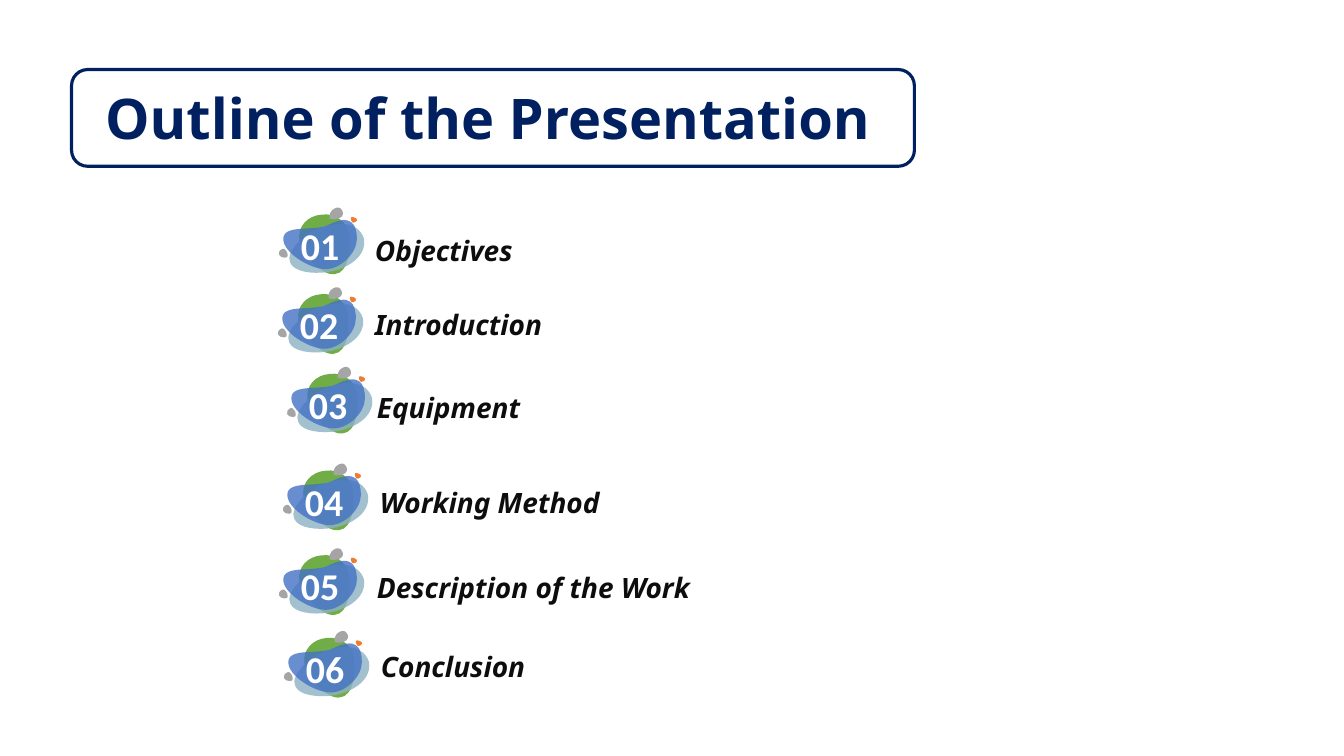
from lxml.etree import SubElement
from pptx import Presentation
from pptx.dml.color import RGBColor
from pptx.enum.shapes import MSO_SHAPE as Kind
from pptx.enum.text import MSO_ANCHOR as Anchor, MSO_AUTO_SIZE as Fit, PP_ALIGN as Align
from pptx.oxml.ns import qn
from pptx.util import Inches, Pt

NAVY = RGBColor(0x00, 0x20, 0x60)
INK = RGBColor(0x0D, 0x0D, 0x0D)
WHITE = RGBColor(0xFF, 0xFF, 0xFF)
GREEN = RGBColor(0x70, 0xAD, 0x47)
PALE = RGBColor(0x8D, 0xB1, 0xC4)
BLUE = RGBColor(0x44, 0x72, 0xC4)
GREY = RGBColor(0xA5, 0xA5, 0xA5)
ORANGE = RGBColor(0xED, 0x7D, 0x31)

BLOBS = [
    (GREEN, 100, [(.21, .32), (.22, .45), (.43, .68), (.56, .66), (.70, .65), (.72, .40),
                  (.70, .27), (.69, .15), (.57, .05), (.43, .07), (.29, .08), (.19, .19)]),
    (PALE, 80, [(.12, .55), (.16, .64), (.34, .66), (.49, .64), (.64, .62), (.88, .51),
                (.85, .31), (.83, .24), (.75, .10), (.44, .19), (.27, .24), (.06, .44)]),
    (BLUE, 80, [(.05, .31), (.05, .45), (.32, .61), (.47, .61), (.62, .61), (.78, .45),
                (.78, .31), (.78, .16), (.72, .06), (.50, .17), (.36, .24), (.05, .16)]),
    (GREY, 100, [(.51, .11), (.53, .12), (.60, .12), (.63, .09), (.66, .06), (.63, .02),
                 (.62, .01), (.60, -.01), (.56, 0), (.53, .03), (.51, .06), (.50, .09)]),
    (GREY, 100, [(.09, .49), (.10, .47), (.09, .43), (.06, .41), (.04, .40), (.01, .43),
                 (.01, .44), (0, .46), (.01, .48), (.03, .49), (.06, .50), (.08, .50)]),
    (ORANGE, 100, [(.72, .10), (.71, .11), (.73, .14), (.74, .15), (.76, .15), (.77, .14),
                   (.78, .13), (.78, .12), (.78, .10), (.76, .10), (.74, .09), (.72, .09)]),
]
ITEMS = [
    ("Objectives", (2.76, 2.06), (3.62, 2.16, 1.94, .49), 1.0),
    ("Introduction", (2.75, 2.85), (3.62, 2.86, 2.16, .52), 1.2),
    ("Equipment", (2.84, 3.64), (3.64, 3.69, 2.16, .52), 1.2),
    ("Working Method", (2.80, 4.60), (3.67, 4.62, 3.34, .53), 1.2),
    ("Description of the Work", (2.76, 5.44), (3.64, 5.47, 3.84, .52), 1.2),
    ("Conclusion", (2.81, 6.26), (3.68, 6.26, 2.09, .52), 1.2),
]


def write(para, text, size, face, color, slant=False):
    """Add one bold run to a paragraph."""
    run = para.add_run()
    run.text = text
    font = run.font
    font.size, font.name, font.bold, font.italic = Pt(size), face, True, slant
    font.color.rgb = color


def bend(shape):
    """Turn each three line segments of an outline into one cubic curve."""
    lines = list(shape._element.iter(qn("a:lnTo")))
    for i in range(0, len(lines), 3):
        first, *rest = lines[i:i + 3]
        first.tag = qn("a:cubicBezTo")
        for line in rest:
            first.append(line[0])
            line.getparent().remove(line)


def blob(group, left, top, color, alpha, knots):
    """Draw one smooth filled outline at the given corner."""
    dots = [(Inches(left + x), Inches(top + y)) for x, y in knots]
    pen = group.shapes.build_freeform(*dots[0])
    pen.add_line_segments(dots[1:] + dots[:1], close=True)
    shape = pen.convert_to_shape()
    bend(shape)
    shape.shadow.inherit = False
    shape.line.fill.background()
    shape.fill.solid()
    shape.fill.fore_color.rgb = color
    if alpha < 100:
        tone = shape._element.spPr.find(qn("a:solidFill"))[0]
        SubElement(tone, qn("a:alpha"), val=str(alpha * 1000))
    return shape


def badge(slide, left, top, label):
    """Draw a numbered cluster of blobs."""
    group = slide.shapes.add_group_shape()
    for color, alpha, knots in BLOBS:
        shape = blob(group, left, top, color, alpha, knots)
        if color == BLUE:
            frame = shape.text_frame
            frame.vertical_anchor = Anchor.MIDDLE
            frame.margin_left = frame.margin_right = Inches(.03)
            frame.margin_top, frame.margin_bottom = Inches(.1), Inches(.03)
            para = frame.paragraphs[0]
            para.alignment = Align.CENTER
            write(para, label, 27, "Calibri", WHITE)


def topic(slide, box, text, space):
    """Place one topic name in its box."""
    frame = slide.shapes.add_textbox(*map(Inches, box)).text_frame
    frame.word_wrap = True
    frame.auto_size = Fit.SHAPE_TO_FIT_TEXT
    frame.vertical_anchor = Anchor.BOTTOM
    frame.margin_top, frame.margin_bottom = Inches(.15), 0
    para = frame.paragraphs[0]
    para.line_spacing = space
    write(para, text, 20, "Noto Sans", INK, True)


def title(slide, left, top, width, height):
    """Draw the framed slide title."""
    edge = slide.shapes.add_shape(Kind.ROUNDED_RECTANGLE, Inches(left), Inches(top),
                                  Inches(width), Inches(height))
    edge.shadow.inherit = False
    edge.fill.background()
    edge.line.color.rgb = NAVY
    edge.line.width = Pt(2.25)
    frame = slide.shapes.add_textbox(Inches(left - .48), Inches(top + .07),
                                     Inches(width + .85), Inches(.8)).text_frame
    frame.word_wrap = True
    frame.vertical_anchor = Anchor.MIDDLE
    para = frame.paragraphs[0]
    para.alignment = Align.CENTER
    write(para, "Outline of the Presentation", 40, "Noto Sans", NAVY)


def main():
    """Build and save the outline slide."""
    deck = Presentation()
    deck.slide_width, deck.slide_height = Inches(13.33), Inches(7.5)
    slide = deck.slides.add_slide(deck.slide_layouts[6])
    title(slide, .71, .69, 8.36, .96)
    for rank, (text, spot, box, space) in enumerate(ITEMS, 1):
        badge(slide, *spot, f"{rank:02d}")
        topic(slide, box, text, space)
    deck.save("out.pptx")


if __name__ == "__main__":
    main()
